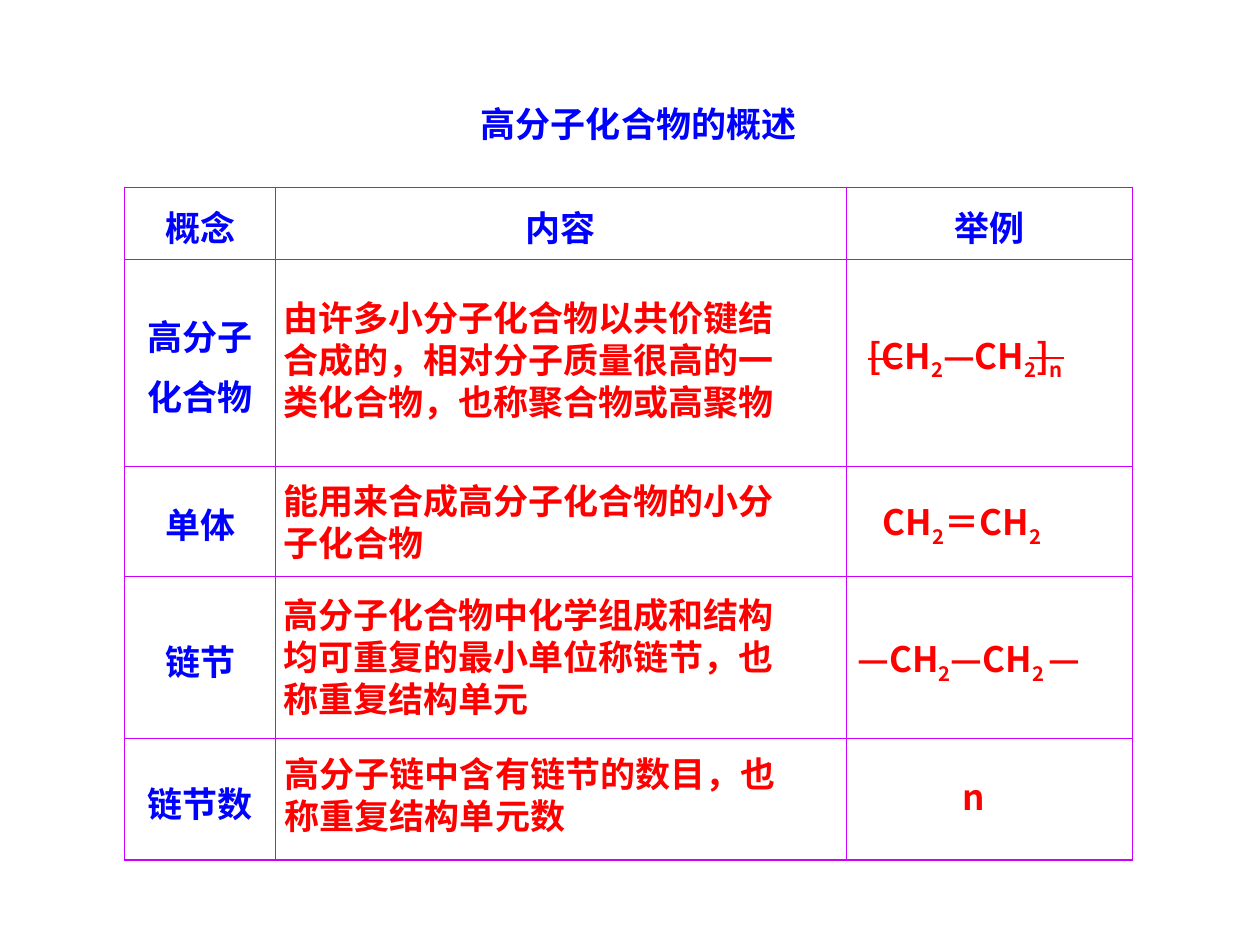
from itertools import product
from lxml import etree
from pptx import Presentation
from pptx import util as u
from pptx.dml.color import RGBColor
from pptx.enum import shapes, text
from pptx.oxml import ns

BLUE = RGBColor(0x00, 0x00, 0xFF)
RED = RGBColor(0xFF, 0x00, 0x00)
PINK = RGBColor(0xCC, 0x00, 0xFF)
SANS, SERIF = "Noto Sans CJK SC", "Times New Roman"
MID = text.PP_ALIGN.CENTER

TITLE = "高分子化合物的概述"
HEADS = ["概念", "内容", "举例"]
TERMS = [["高分子", "化合物"], ["单体"], ["链节"], ["链节数"]]
NOTES = [
    (5.46, 5.59, ["由许多小分子化合物以共价键结", "合成的，相对分子质量很高的一",
                  "类化合物，也称聚合物或高聚物"]),
    (5.46, 9.37, ["能用来合成高分子化合物的小分", "子化合物"]),
    (5.46, 11.58, ["高分子化合物中化学组成和结构", "均可重复的最小单位称链节，也",
                   "称重复结构单元"]),
    (5.49, 14.88, ["高分子链中含有链节的数目，也", "称重复结构单元数"]),
]
CHAIN = (17.07, 6.58, 4.88, 1.27), ["[CH", "2", "—CH", "2", "]", "n "]
BONDS = [(17.5, 7.24), (20.75, 7.21)]
FORMS = [
    ((17.04, 9.96, 4.8, 1.22), ["CH", "2", "＝CH", "2 "]),
    ((16.46, 12.73, 6.15, 1.22), ["—CH", "2", "—CH", "2 ", "—"]),
    ((18.9, 15.27, 1.47, 1.57), ["n"]),
]
COLS = [3.05, 11.5, 5.77]
ROWS = [1.45, 4.17, 2.21, 3.28, 2.44]
BOND, LINE, PAD = 0.69, 1.02, 0.25


def write(frame, lines, color=RED, font=SANS, align=None, space=None, gap=0):
    """Each line is a list of parts; every second part is a subscript."""
    frame.word_wrap = True
    for i, parts in enumerate(lines):
        para = frame.paragraphs[0] if i == 0 else frame.add_paragraph()
        para.alignment = align
        para.line_spacing = space
        if i and gap:
            para.space_before = u.Pt(gap)
        for j, part in enumerate(parts):
            run = para.add_run()
            run.text = part
            run.font.size, run.font.bold = u.Pt(20), True
            run.font.color.rgb = color
            run.font.name = font
            props = run._r.get_or_add_rPr()
            etree.SubElement(props, ns.qn("a:ea"), typeface=SANS)
            if j % 2:
                props.set("baseline", "-25000")


def box(home, place, lines, **style):
    frame = home.add_textbox(*map(u.Cm, place)).text_frame
    frame.vertical_anchor = text.MSO_ANCHOR.MIDDLE
    write(frame, lines, **style)


def edge(cell, side, width):
    props = cell._tc.get_or_add_tcPr()
    line = etree.SubElement(props, ns.qn("a:ln" + side), w=str(u.Pt(width)))
    fill = etree.SubElement(line, ns.qn("a:solidFill"))
    etree.SubElement(fill, ns.qn("a:srgbClr"), val=str(PINK))


def grid(home):
    size = len(ROWS), len(COLS)
    area = map(u.Cm, (2.51, 3.78, sum(COLS), sum(ROWS)))
    table = home.add_table(*size, *area).table
    table.first_row = table.horz_banding = False
    for col, width in zip(table.columns, COLS):
        col.width = u.Cm(width)
    for row, height in zip(table.rows, ROWS):
        row.height = u.Cm(height)
    for r, c in product(*map(range, size)):
        cell = table.cell(r, c)
        outer = {"L": c == 0, "R": c == size[1] - 1,
                 "T": r == 0, "B": r == size[0] - 1}
        for side, rim in outer.items():
            edge(cell, side, 1.08 if rim else 0.45)
        cell.fill.background()
        cell.vertical_anchor = text.MSO_ANCHOR.MIDDLE
        words = [HEADS[c]] if r == 0 else TERMS[r - 1] if c == 0 else []
        write(cell.text_frame, [[w] for w in words], color=BLUE,
              font=SERIF, align=MID, space=1.1, gap=2.5)


def bond(home, x, y):
    ends = map(u.Cm, (x, y, x + BOND, y))
    line = home.add_connector(shapes.MSO_CONNECTOR.STRAIGHT, *ends)
    line.line.color.rgb = RED
    line.line.width = u.Pt(1)
    etree.SubElement(line._element.spPr, ns.qn("a:effectLst"))


def main():
    deck = Presentation()
    deck.slide_width, deck.slide_height = u.Cm(25.4), u.Cm(19.05)
    home = deck.slides.add_slide(deck.slide_layouts[6]).shapes
    box(home, (7.72, 1.85, 10.31, 1.27), [[TITLE]], color=BLUE, align=MID)
    grid(home)
    group = home.add_group_shape().shapes
    box(group, CHAIN[0], [CHAIN[1]], align=MID)
    for x, y in BONDS:
        bond(group, x, y)
    for place, parts in FORMS:
        box(home, place, [parts], align=MID)
    for x, y, lines in NOTES:
        place = x, y, 11.02, LINE * len(lines) + PAD
        box(home, place, [[line] for line in lines], font=SERIF)
    deck.save("out.pptx")


if __name__ == "__main__":
    main()
